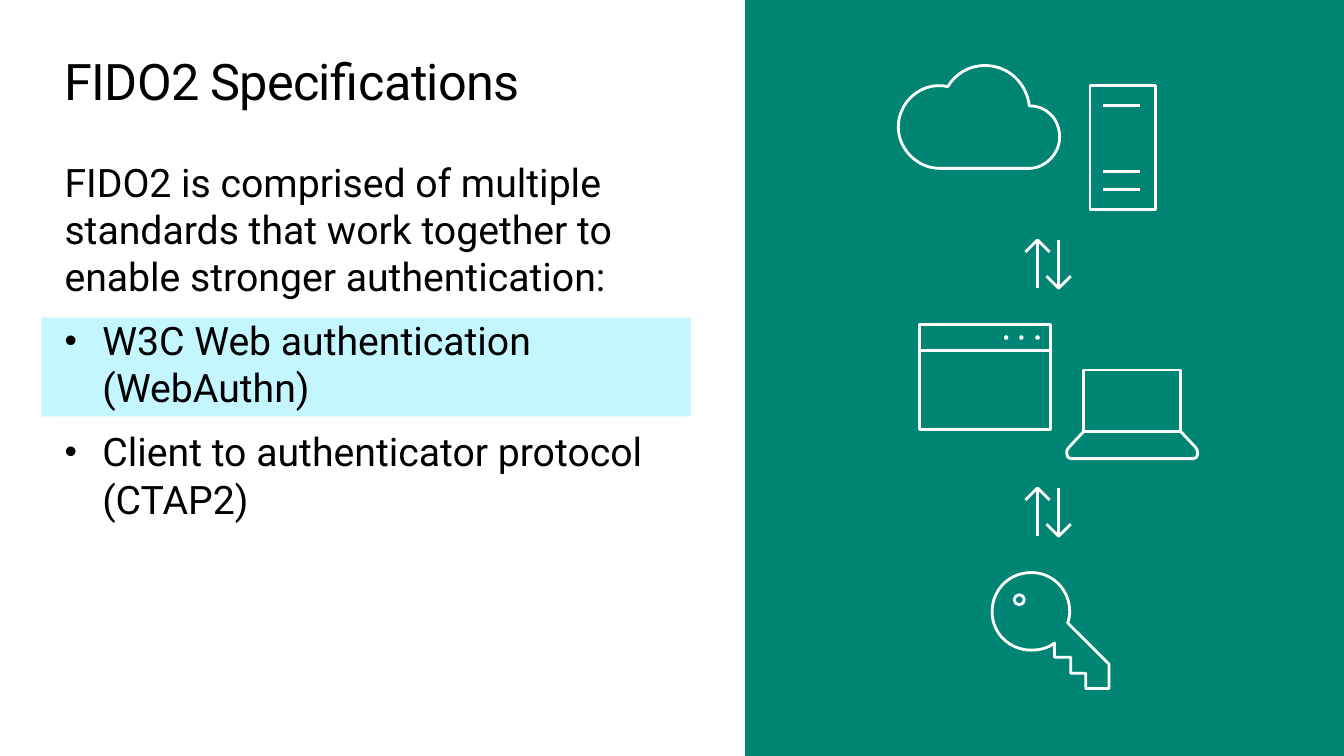
from lxml.etree import SubElement
from pptx import Presentation
from pptx.dml.color import RGBColor
from pptx.enum.shapes import MSO_SHAPE as SHAPE
from pptx.enum.text import MSO_ANCHOR as ANCHOR, MSO_AUTO_SIZE as AUTO, PP_ALIGN as ALIGN
from pptx.oxml.ns import qn
from pptx.util import Inches, Pt

# Content
TITLE = "FIDO2 Specifications"
INTRO = "FIDO2 is comprised of multiple standards that work together to enable stronger authentication:"
STANDARDS = ["W3C Web authentication (WebAuthn)", "Client to authenticator protocol (CTAP2)"]

THEME = dict(font="Roboto", text="000000", panel="008575", highlight="50E6FF",
             highlight_alpha=34, icon="FFFFFF", icon_line=2, title=36, body=28,
             title_spacing=-0.5, gap=12.2, bullet_pct=90)
SLIDE_W, SLIDE_H = 13.33, 7.5
PANEL_X = 7.39
INDENT = 0.375


# Icon outlines: a contour is a list of points in inches;
# six numbers are a Bezier curve (two controls and an end point)
def rect(x1, y1, x2, y2):
    return [(x1, y1), (x2, y1), (x2, y2), (x1, y2), (x1, y1)]


def circle(x, y, r):
    k = 0.55 * r
    return [(x + r, y),
            (x + r, y + k, x + k, y + r, x, y + r),
            (x - k, y + r, x - r, y + k, x - r, y),
            (x - r, y - k, x - k, y - r, x, y - r),
            (x + k, y - r, x + r, y - k, x + r, y)]


def arrow(x, tail, tip):
    head = 0.12
    barb = tip + (head if tail > tip else -head)
    return [[(x - head, barb), (x, tip), (x + head, barb)], [(x, tip), (x, tail)]]


def arrow_pair(top):
    bottom = top + 0.48
    return arrow(10.29, bottom, top) + arrow(10.5, top, bottom)


CLOUD = [[(10.22, 1.67), (9.32, 1.67),
          (9.1, 1.67, 8.91, 1.48, 8.91, 1.26), (8.91, 1.03, 9.1, 0.85, 9.31, 0.85),
          (9.34, 0.85, 9.37, 0.85, 9.4, 0.86), (9.48, 0.73, 9.61, 0.65, 9.77, 0.65),
          (10, 0.65, 10.18, 0.82, 10.21, 1.05), (10.38, 1.05, 10.51, 1.18, 10.51, 1.36),
          (10.51, 1.52, 10.38, 1.66, 10.22, 1.67)]]
SERVER = [rect(10.81, 0.85, 11.46, 2.08)] + [[(10.94, y), (11.31, y)] for y in (1.05, 1.7, 1.88)]
BROWSER = ([rect(9.12, 3.22, 10.42, 4.26), [(9.12, 3.48), (10.42, 3.48)]]
           + [circle(x, 3.35, 0.01) for x in (9.98, 10.13, 10.29)])
LAPTOP = [rect(10.75, 3.67, 11.71, 4.28),
          [(10.58, 4.5), (10.58, 4.53, 10.6, 4.55, 10.62, 4.55), (11.84, 4.55),
           (11.86, 4.55, 11.88, 4.53, 11.88, 4.5), (11.88, 4.48, 11.87, 4.45, 11.86, 4.44),
           (11.71, 4.28), (10.75, 4.28), (10.6, 4.44),
           (10.58, 4.45, 10.58, 4.48, 10.58, 4.5)]]
KEY = [[(10.46, 6.38), (10.39, 6.43, 10.31, 6.45, 10.23, 6.45),
        (10.01, 6.45, 9.84, 6.28, 9.84, 6.07), (9.84, 5.85, 10.01, 5.68, 10.23, 5.68),
        (10.44, 5.68, 10.61, 5.85, 10.61, 6.07), (10.61, 6.11, 10.6, 6.15, 10.59, 6.18),
        (11, 6.59), (11, 6.83), (10.77, 6.83), (10.77, 6.68), (10.62, 6.68),
        (10.62, 6.52), (10.46, 6.52), (10.46, 6.38)],
       circle(10.11, 5.95, 0.05)]
ICONS = [CLOUD, BROWSER, KEY, arrow_pair(4.84), arrow_pair(2.38), SERVER, LAPTOP]


def color(name):
    return RGBColor.from_string(THEME[name])


def curve_segments(sp, contours):
    """Turn the line segments that stand for curves into Bezier segments."""
    steps = [step for contour in contours for step in contour[1:]]
    for line, step in zip(list(sp._element.iter(qn("a:lnTo"))), steps):
        if len(step) == 2:
            continue
        line.tag = qn("a:cubicBezTo")
        end = line[0]
        for x, y in (step[:2], step[2:4]):
            pt = SubElement(line, qn("a:pt"), x=str(Inches(x) - sp.left), y=str(Inches(y) - sp.top))
            end.addprevious(pt)


def add_icon(s, contours):
    builder = None
    for contour in contours:
        ends = [(Inches(step[-2]), Inches(step[-1])) for step in contour]
        if builder:
            builder.move_to(*ends[0])
        else:
            builder = s.shapes.build_freeform(*ends[0])
        builder.add_line_segments(ends[1:], close=ends[0] == ends[-1])
    sp = builder.convert_to_shape()
    curve_segments(sp, contours)
    sp.shadow.inherit = False
    sp.fill.background()
    sp.line.color.rgb = color("icon")
    sp.line.width = Pt(THEME["icon_line"])


def add_band(s, fill, box):
    sp = s.shapes.add_shape(SHAPE.RECTANGLE, *map(Inches, box))
    sp.shadow.inherit = False
    sp.fill.solid()
    sp.fill.fore_color.rgb = color(fill)
    sp.line.fill.background()
    s.shapes._spTree.insert(2, sp._element)  # behind the text
    return sp


def place(sp, box):
    for key, value in zip(("left", "top", "width", "height"), box):
        setattr(sp, key, Inches(value))
    tf = sp.text_frame
    frame = dict(margin_left=0, margin_top=0, margin_right=0, margin_bottom=0, word_wrap=True,
                 vertical_anchor=ANCHOR.TOP, auto_size=AUTO.SHAPE_TO_FIT_TEXT)
    for key, value in frame.items():
        setattr(tf, key, value)
    return tf


def write(p, text, size):
    p.alignment = ALIGN.LEFT
    r = p.add_run()
    r.text = text
    for key, value in dict(name=THEME["font"], size=Pt(THEME[size])).items():
        setattr(r.font, key, value)
    r.font.color.rgb = color("text")
    return r


def set_bullet(p, char=None):
    pPr = p._p.get_or_add_pPr()
    indent = Inches(INDENT) if char else 0
    pPr.set("marL", str(indent))
    pPr.set("indent", str(-indent))
    if not char:
        SubElement(pPr, qn("a:buNone"))
        return
    SubElement(SubElement(pPr, qn("a:buClr")), qn("a:srgbClr"), val=THEME["text"])
    SubElement(pPr, qn("a:buSzPct"), val=str(THEME["bullet_pct"] * 1000))
    SubElement(pPr, qn("a:buFont"), typeface="Arial")
    SubElement(pPr, qn("a:buChar"), char=char)


def main():
    prs = Presentation()
    prs.slide_width, prs.slide_height = Inches(SLIDE_W), Inches(SLIDE_H)
    s = prs.slides.add_slide(prs.slide_layouts[1])

    # Title
    tf = place(s.shapes.title, (0.64, 0.5, 12.05, 0.61))
    r = write(tf.paragraphs[0], TITLE, "title")
    r._r.get_or_add_rPr().set("spc", str(int(THEME["title_spacing"] * 100)))

    # Introduction and list of standards
    tf = place(s.placeholders[1], (0.64, 1.57, 5.89, 3.64))
    p = tf.paragraphs[0]
    set_bullet(p)
    p.space_before = Pt(0)
    write(p, INTRO, "body")
    for standard in STANDARDS:
        p = tf.add_paragraph()
        set_bullet(p, "•")
        p.space_before = Pt(THEME["gap"])
        write(p, standard, "body")

    # Green panel and highlight
    add_band(s, "panel", (PANEL_X, 0, SLIDE_W - PANEL_X, SLIDE_H))
    band = add_band(s, "highlight", (0.41, 3.15, 6.44, 0.98))
    rgb = band._element.spPr.find(qn("a:solidFill")).find(qn("a:srgbClr"))
    SubElement(rgb, qn("a:alpha"), val=str(THEME["highlight_alpha"] * 1000))

    # Icons
    for contours in ICONS:
        add_icon(s, contours)

    prs.save("out.pptx")


if __name__ == "__main__":
    main()
